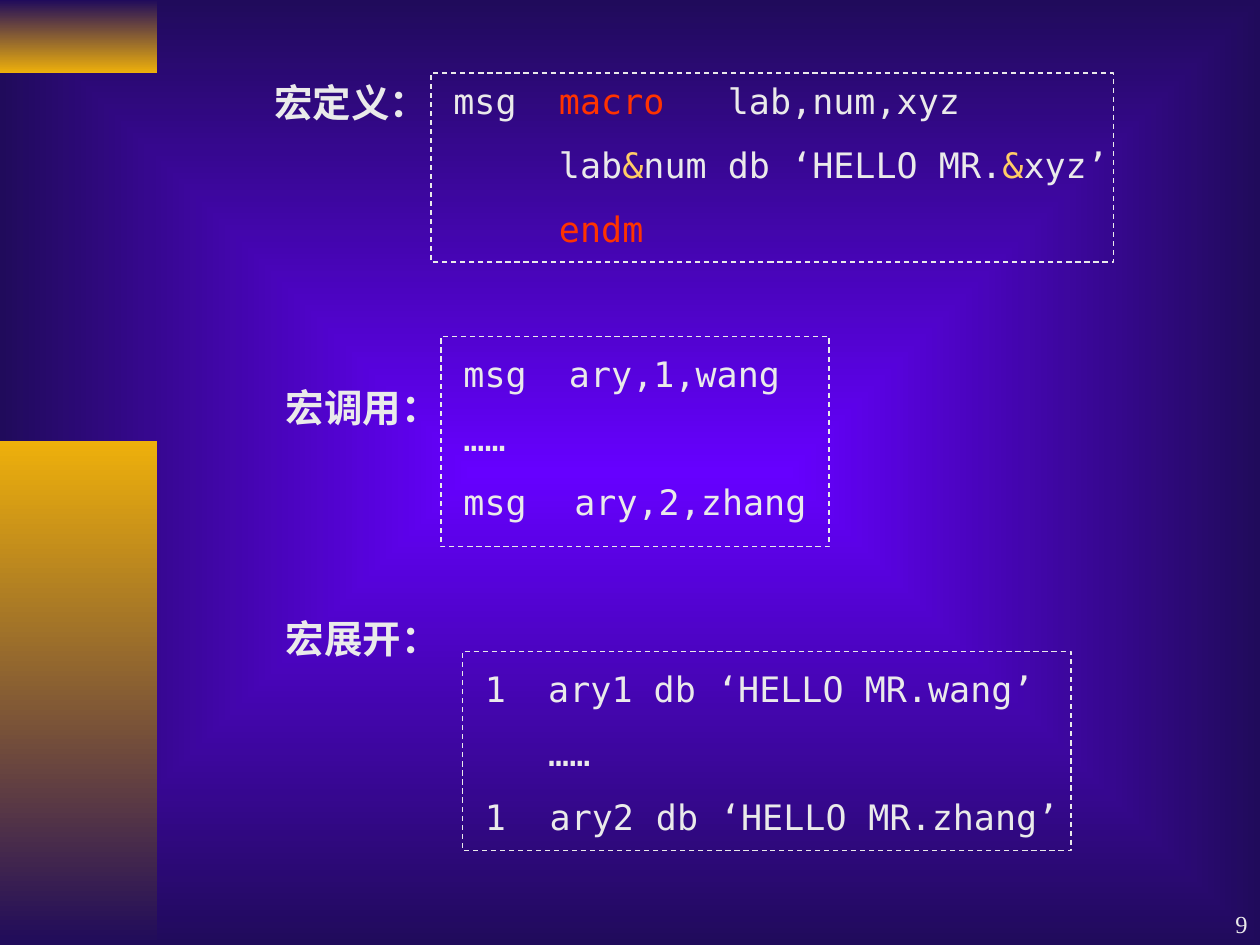
import pptx
import pptx.dml.color
import pptx.enum.dml
import pptx.enum.shapes
import pptx.enum.text
import pptx.oxml
import pptx.oxml.ns
import pptx.util

Inches = pptx.util.Inches
Pt = pptx.util.Pt
RGBColor = pptx.dml.color.RGBColor
PP_ALIGN = pptx.enum.text.PP_ALIGN
MSO_ANCHOR = pptx.enum.text.MSO_ANCHOR
MSO_AUTO_SIZE = pptx.enum.text.MSO_AUTO_SIZE
RECTANGLE = pptx.enum.shapes.MSO_SHAPE.RECTANGLE

VIOLET = RGBColor(0x66, 0x00, 0xFF)
NAVY = RGBColor(0x20, 0x0B, 0x5B)
GOLD = RGBColor(0xEE, 0xB0, 0x0B)
LIGHT = RGBColor(0xEA, 0xEA, 0xEA)
RED = RGBColor(0xFF, 0x33, 0x00)
YELLOW = RGBColor(0xFF, 0xCC, 0x66)

LABEL_FONT = "Courier New"
CODE_FONT = "DejaVu Sans Mono"
NUMBER_FONT = "Times New Roman"


class MacroSlide:
    def __init__(self, prs):
        self.s = prs.slides.add_slide(prs.slide_layouts[6])

    def gradient(self, fill, start, end):
        fill.gradient()
        for stop, color, position in zip(fill.gradient_stops, (start, end), (0, 1)):
            stop.color.rgb = color
            stop.position = position

    def background(self, center, edge):
        self.gradient(self.s.background.fill, center, edge)
        lin = self.s.element.find(".//" + pptx.oxml.ns.qn("a:lin"))
        path = pptx.oxml.parse_xml(
            f'<a:path {pptx.oxml.ns.nsdecls("a")} path="rect">'
            '<a:fillToRect l="50000" t="50000" r="50000" b="50000"/></a:path>')
        lin.getparent().replace(lin, path)

    def rect(self, x, y, w, h):
        sp = self.s.shapes.add_shape(
            RECTANGLE, Inches(x), Inches(y), Inches(w), Inches(h))
        sp.shadow.inherit = False
        return sp

    def bar(self, y, h, top, bottom):
        sp = self.rect(0, y, 1.25, h)
        self.gradient(sp.fill, top, bottom)
        sp.fill.gradient_angle = 270
        sp.line.fill.background()

    def frame(self, x, y, w, h):
        sp = self.rect(x, y, w, h)
        sp.fill.background()
        sp.line.color.rgb = LIGHT
        sp.line.width = Pt(0.75)
        sp.line.dash_style = pptx.enum.dml.MSO_LINE.DASH

    def text(self, x, y, w, h, lines, font, size, bold=False,
             align=PP_ALIGN.JUSTIFY):
        sp = self.s.shapes.add_textbox(Inches(x), Inches(y), Inches(w), Inches(h))
        tf = sp.text_frame
        tf.word_wrap = True
        for i, line in enumerate(lines):
            p = tf.paragraphs[0] if i == 0 else tf.add_paragraph()
            p.alignment = align
            if i:
                p.space_before = Pt(12.5)
            for words, color in line:
                r = p.add_run()
                r.text = words
                r.font.name = font
                r.font.size = Pt(size)
                r.font.bold = bold
                r.font.color.rgb = color
        return tf

    def label(self, x, y, words):
        tf = self.text(x, y, 1.67, 0.47, [[(words, LIGHT)]], LABEL_FONT, 22, True)
        tf.auto_size = MSO_AUTO_SIZE.SHAPE_TO_FIT_TEXT

    def code(self, x, y, w, lines):
        tf = self.text(x, y, w, 1.45, lines, CODE_FONT, 20)
        tf.auto_size = MSO_AUTO_SIZE.SHAPE_TO_FIT_TEXT

    def number(self, words):
        tf = self.text(7.92, 7, 2.08, 0.5, [[(words, LIGHT)]], NUMBER_FONT, 14,
                       align=PP_ALIGN.RIGHT)
        tf.vertical_anchor = MSO_ANCHOR.BOTTOM


def plain(*lines):
    return [[(line, LIGHT)] for line in lines]


DEFINITION = [
    [("msg  ", LIGHT), ("macro", RED), ("   lab,num,xyz", LIGHT)],
    [("     lab", LIGHT), ("&", YELLOW), ("num db ‘HELLO MR.", LIGHT),
     ("&", YELLOW), ("xyz’", LIGHT)],
    [("     ", LIGHT), ("endm", RED)],
]
CALL = plain("msg  ary,1,wang", "……", "msg  ary,2,zhang ")
EXPANSION = plain("1  ary1 db ‘HELLO MR.wang’", "   ……",
                  "1  ary2 db ‘HELLO MR.zhang’ ")

SECTIONS = [
    ("宏定义：", (2.08, 0.58), DEFINITION, (3.5, 0.58, 5.42), (3.42, 0.58, 5.42, 1.5)),
    ("宏调用：", (2.17, 3), CALL, (3.58, 2.75, 2.92), (3.5, 2.67, 3.08, 1.67)),
    ("宏展开：", (2.17, 4.83), EXPANSION, (3.75, 5.25, 4.75), (3.67, 5.17, 4.83, 1.58)),
]


def main():
    prs = pptx.Presentation()
    prs.slide_width = Inches(10)
    prs.slide_height = Inches(7.5)
    slide = MacroSlide(prs)
    slide.background(VIOLET, NAVY)
    slide.bar(0, 0.58, NAVY, GOLD)
    slide.bar(3.5, 4, GOLD, NAVY)
    for title, label_at, lines, code_at, frame_at in SECTIONS:
        slide.label(*label_at, title)
        slide.code(*code_at, lines)
        slide.frame(*frame_at)
    slide.number("9")
    prs.save("out.pptx")


if __name__ == "__main__":
    main()
